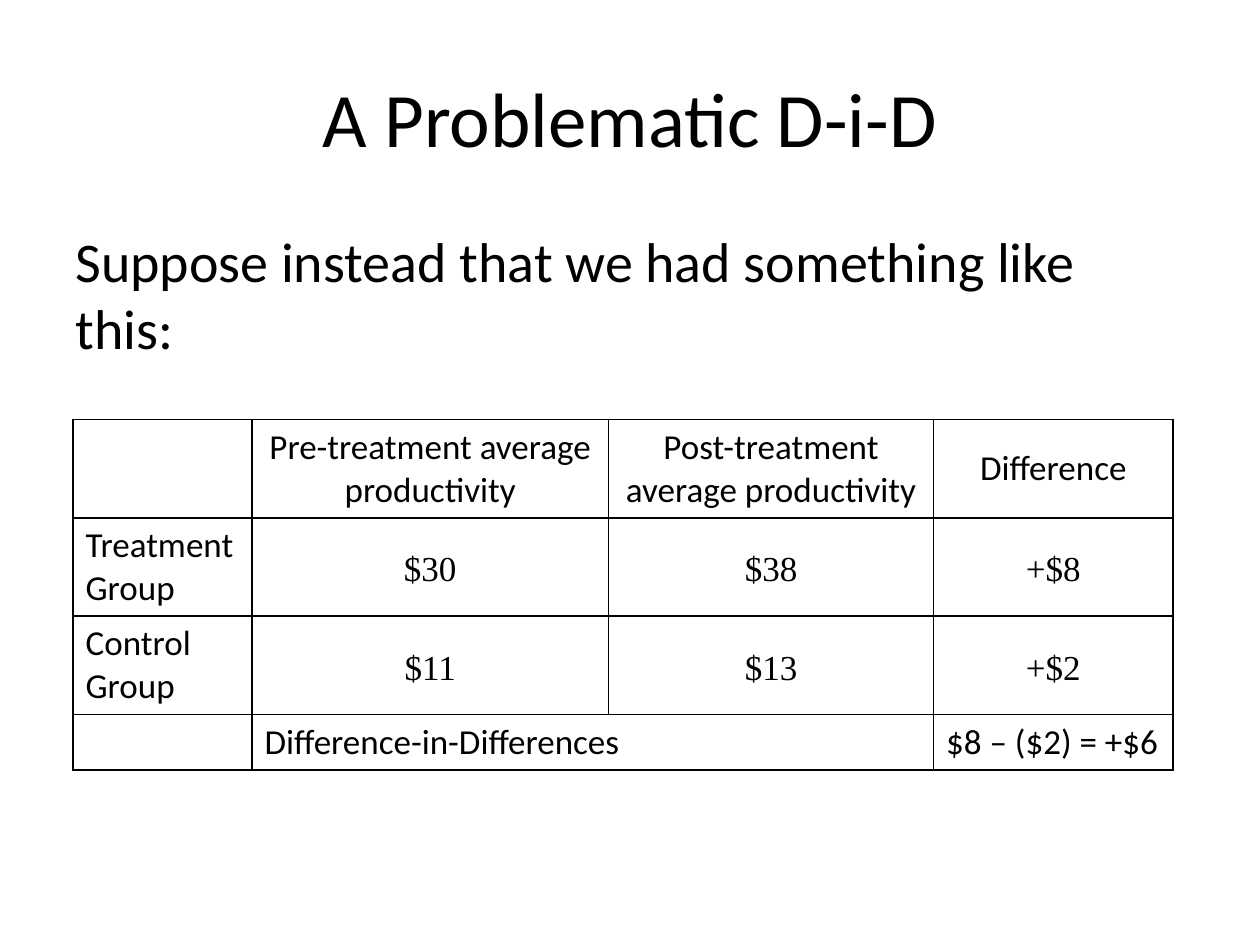
from lxml import etree
from pptx import Presentation
from pptx import util as u
from pptx.dml.color import RGBColor
from pptx.enum import text
from pptx.oxml import ns

COLORS = {"ink": "000000", "paper": "FFFFFF"}
LABEL_FONT, FIGURE_FONT = "Calibri", "Times New Roman"
COLUMN_WIDTHS = [1.42, 2.83, 2.58, 1.9]
ROW_HEIGHTS = [0.78, 0.78, 0.78, 0.44]
PRODUCTIVITY = [
    ["", "Pre-treatment average productivity",
     "Post-treatment\naverage productivity", "Difference"],
    ["Treatment\nGroup", "$30", "$38", "+$8"],
    ["Control\nGroup", "$11", "$13", "+$2"],
    ["", "Difference-in-Differences", "", "$8 – ($2) = +$6"],
]


def write(frame, wording, size, font=LABEL_FONT, align=text.PP_ALIGN.LEFT, spacing=None):
    """Fill a text frame and format every paragraph alike."""
    frame.text = wording
    for paragraph in frame.paragraphs:
        paragraph.alignment = align
        paragraph.line_spacing = spacing
        paragraph.font.size = u.Pt(size)
        for run in paragraph.runs:
            run.font.size = u.Pt(size)
            run.font.name = font
            run.font.bold = False
            run.font.color.rgb = RGBColor.from_string(COLORS["ink"])


def add_text(slide, wording, top, height, size, align, anchor):
    """Add a wrapping text box across the slide's content width."""
    box = slide.shapes.add_textbox(
        u.Inches(0.5), u.Inches(top), u.Inches(9), u.Inches(height))
    box.text_frame.word_wrap = True
    box.text_frame.vertical_anchor = anchor
    write(box.text_frame, wording, size, align=align)


def outline(cell):
    """Draw a thin solid line on all four sides of a cell."""
    properties = cell._tc.get_or_add_tcPr()
    for side in ("a:lnL", "a:lnR", "a:lnT", "a:lnB"):
        line = etree.SubElement(properties, ns.qn(side), w=str(u.Pt(1)))
        fill = etree.SubElement(line, ns.qn("a:solidFill"))
        etree.SubElement(fill, ns.qn("a:srgbClr"), val=COLORS["ink"])


def format_cell(cell, wording, row, column):
    """Style a cell as header, figure or plain label by its place."""
    outline(cell)
    cell.fill.solid()
    cell.fill.fore_color.rgb = RGBColor.from_string(COLORS["paper"])
    is_figure = row in (1, 2) and column > 0
    centred = is_figure or row == 0
    if is_figure:
        cell.margin_left = cell.margin_right = u.Inches(0.07)
        cell.margin_top = cell.margin_bottom = 0
    cell.vertical_anchor = text.MSO_ANCHOR.MIDDLE if centred else text.MSO_ANCHOR.TOP
    write(cell.text_frame, wording, 20,
          font=FIGURE_FONT if is_figure else LABEL_FONT,
          align=text.PP_ALIGN.CENTER if centred else text.PP_ALIGN.LEFT,
          spacing=1.15 if is_figure else None)


def add_productivity_table(slide):
    """Add the bordered difference-in-differences table."""
    table = slide.shapes.add_table(
        len(ROW_HEIGHTS), len(COLUMN_WIDTHS), u.Inches(0.58), u.Inches(3.33),
        u.Inches(sum(COLUMN_WIDTHS)), u.Inches(sum(ROW_HEIGHTS))).table
    table.first_row = table.horz_banding = False
    for column, width in zip(table.columns, COLUMN_WIDTHS):
        column.width = u.Inches(width)
    for row, height in zip(table.rows, ROW_HEIGHTS):
        row.height = u.Inches(height)
    for r, wordings in enumerate(PRODUCTIVITY):
        for c, wording in enumerate(wordings):
            format_cell(table.cell(r, c), wording, r, c)
    table.cell(3, 1).merge(table.cell(3, 2))


def main():
    """Build the slide and save it."""
    deck = Presentation()
    deck.slide_width, deck.slide_height = u.Inches(10), u.Inches(7.5)
    slide = deck.slides.add_slide(deck.slide_layouts[6])
    add_text(slide, "A Problematic D-i-D", 0.3, 1.25, 44,
             text.PP_ALIGN.CENTER, text.MSO_ANCHOR.MIDDLE)
    add_text(slide, "Suppose instead that we had something like this:", 1.75, 4.95, 32,
             text.PP_ALIGN.LEFT, text.MSO_ANCHOR.TOP)
    add_productivity_table(slide)
    deck.save("out.pptx")


if __name__ == "__main__":
    main()
